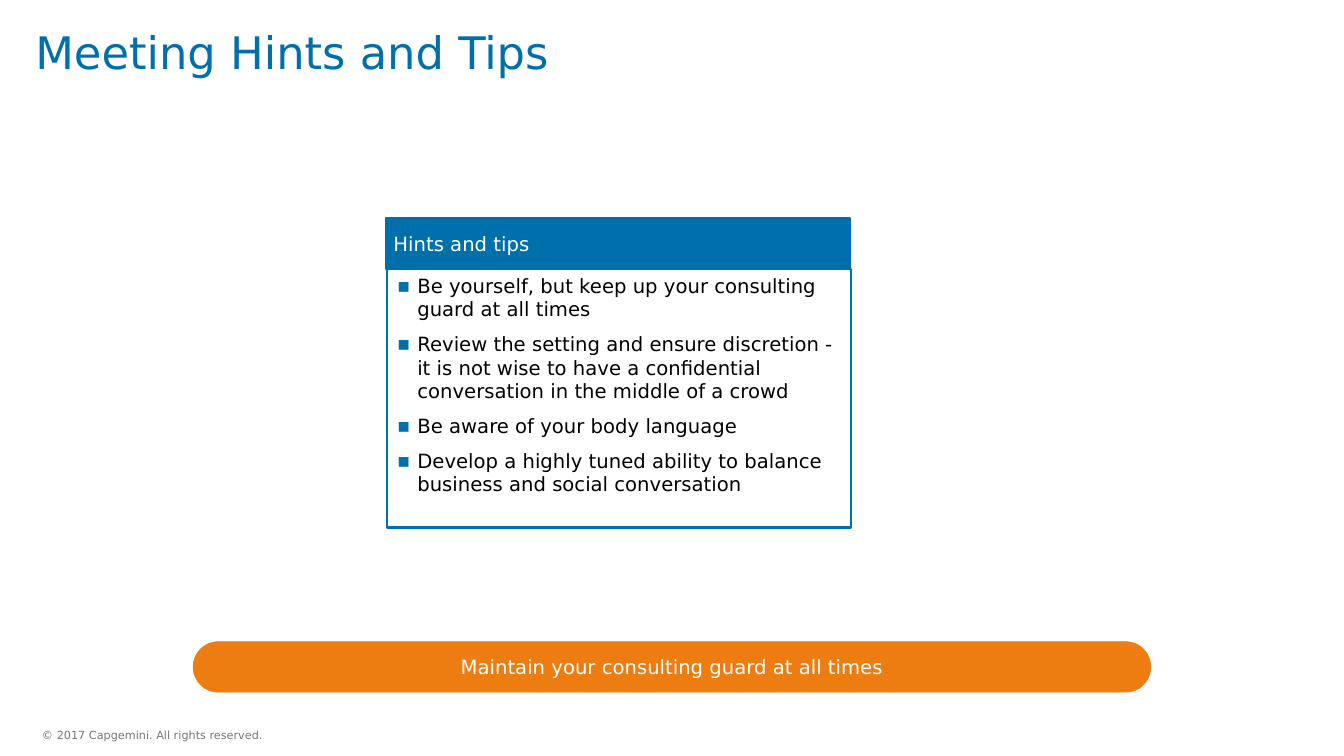
from lxml import etree
from pptx import Presentation
from pptx import util as u
from pptx.dml.color import RGBColor
from pptx.enum import shapes, text
from pptx.oxml import ns

FONT = "DejaVu Sans"
BLUE = RGBColor(0x00, 0x70, 0xAD)
ORANGE = RGBColor(0xEE, 0x7D, 0x11)
WHITE = RGBColor(0xFF, 0xFF, 0xFF)
BLACK = RGBColor(0x00, 0x00, 0x00)
GREY = RGBColor(0x76, 0x76, 0x76)

WIDTH, HEIGHT = u.Inches(13.33), u.Inches(7.5)
COLUMNS, ROWS = 160, 90

TIPS = [
    "Be yourself, but keep up your consulting guard at all times",
    "Review the setting and ensure discretion - it is not wise to have a "
    "confidential conversation in the middle of a crowd",
    "Be aware of your body language",
    "Develop a highly tuned ability to balance business and social conversation",
]


def grid(column, row, columns, rows):
    return (round(WIDTH * column / COLUMNS), round(HEIGHT * row / ROWS),
            round(WIDTH * columns / COLUMNS), round(HEIGHT * rows / ROWS))


def set_frame(frame, anchor, left, top, right, bottom):
    frame.word_wrap = True
    frame.auto_size = text.MSO_AUTO_SIZE.NONE
    frame.vertical_anchor = anchor
    frame.margin_left, frame.margin_top = u.Inches(left), u.Inches(top)
    frame.margin_right, frame.margin_bottom = u.Inches(right), u.Inches(bottom)


def write(paragraph, wording, size, color, alignment=text.PP_ALIGN.LEFT):
    paragraph.text = wording
    paragraph.alignment = alignment
    for run in paragraph.runs:
        run.font.name = FONT
        run.font.size = u.Pt(size)
        run.font.color.rgb = color


def add_bullet(paragraph):
    properties = paragraph._p.get_or_add_pPr()
    properties.set("marL", str(u.Inches(0.2)))
    properties.set("indent", str(u.Inches(-0.2)))
    color = etree.SubElement(properties, ns.qn("a:buClr"))
    etree.SubElement(color, ns.qn("a:srgbClr")).set("val", str(BLUE))
    etree.SubElement(properties, ns.qn("a:buFont")).set("typeface", FONT)
    etree.SubElement(properties, ns.qn("a:buChar")).set("char", "▪")


def add_box(slide, kind, place, fill, line, line_width):
    shape = slide.shapes.add_shape(kind, *place)
    shape.shadow.inherit = False
    shape.fill.solid()
    shape.fill.fore_color.rgb = fill
    shape.line.color.rgb = line
    shape.line.width = u.Pt(line_width)
    return shape


def add_title(slide, wording):
    title = slide.shapes.title
    title.left, title.top, title.width, title.height = grid(4.2, 2.76, 152.5, 7.2)
    set_frame(title.text_frame, text.MSO_ANCHOR.BOTTOM, 0, 0.05, 0.1, 0.05)
    paragraph = title.text_frame.paragraphs[0]
    write(paragraph, wording, 32, BLUE)
    paragraph.line_spacing = u.Pt(30)


def add_tips(slide, tips):
    body = add_box(slide, shapes.MSO_SHAPE.RECTANGLE, grid(46.1, 32, 55.2, 30.8),
                   WHITE, BLUE, 1.5)
    frame = body.text_frame
    set_frame(frame, text.MSO_ANCHOR.TOP, 0.1, 0.05, 0.1, 0.05)
    for index, tip in enumerate(tips):
        paragraph = frame.add_paragraph() if index else frame.paragraphs[0]
        add_bullet(paragraph)
        paragraph.level = 1
        paragraph.space_after = u.Pt(8)
        write(paragraph, tip, 14, BLACK)


def add_heading(slide, wording):
    heading = add_box(slide, shapes.MSO_SHAPE.RECTANGLE, grid(46, 26, 55.2, 6),
                      BLUE, BLUE, 1.5)
    set_frame(heading.text_frame, text.MSO_ANCHOR.MIDDLE, 0.07, 0.03, 0.07, 0.03)
    write(heading.text_frame.paragraphs[0], wording, 14, WHITE)


def add_message(slide, wording):
    banner = add_box(slide, shapes.MSO_SHAPE.ROUNDED_RECTANGLE,
                     grid(23, 76.4, 114, 6), ORANGE, ORANGE, 0.5)
    banner.adjustments[0] = 0.5
    set_frame(banner.text_frame, text.MSO_ANCHOR.MIDDLE, 0.05, 0.05, 0.05, 0.05)
    write(banner.text_frame.paragraphs[0], wording, 14, WHITE, text.PP_ALIGN.CENTER)


def add_copyright(slide, wording):
    box = slide.shapes.add_textbox(*grid(5, 86, 29.2, 2.9))
    set_frame(box.text_frame, text.MSO_ANCHOR.MIDDLE, 0, 0, 0, 0)
    box.text_frame.word_wrap = False
    write(box.text_frame.paragraphs[0], wording, 8, GREY)


def main():
    presentation = Presentation()
    presentation.slide_width, presentation.slide_height = WIDTH, HEIGHT
    slide = presentation.slides.add_slide(presentation.slide_layouts[5])
    slide.background.fill.solid()
    slide.background.fill.fore_color.rgb = WHITE
    add_copyright(slide, "© 2017 Capgemini. All rights reserved.")
    add_title(slide, "Meeting Hints and Tips")
    add_tips(slide, TIPS)
    add_heading(slide, "Hints and tips")
    add_message(slide, "Maintain your consulting guard at all times")
    presentation.save("out.pptx")


if __name__ == "__main__":
    main()
